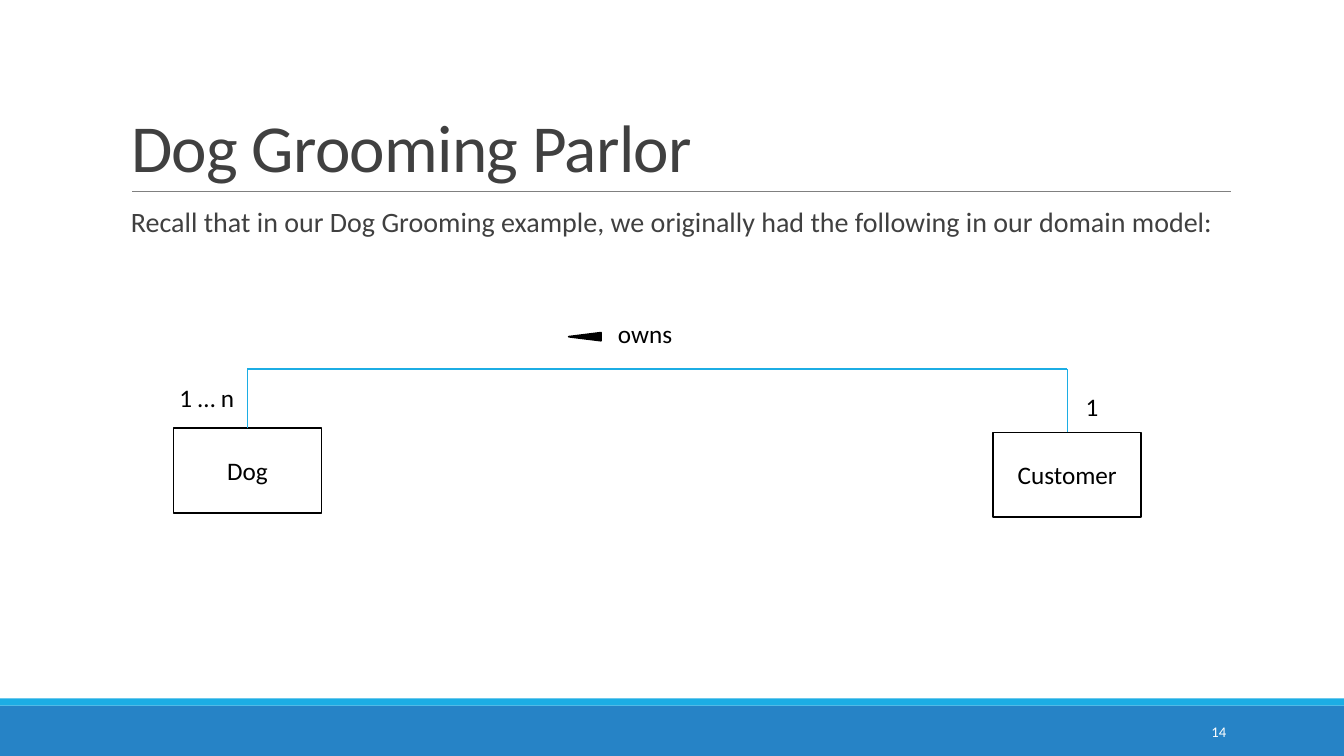
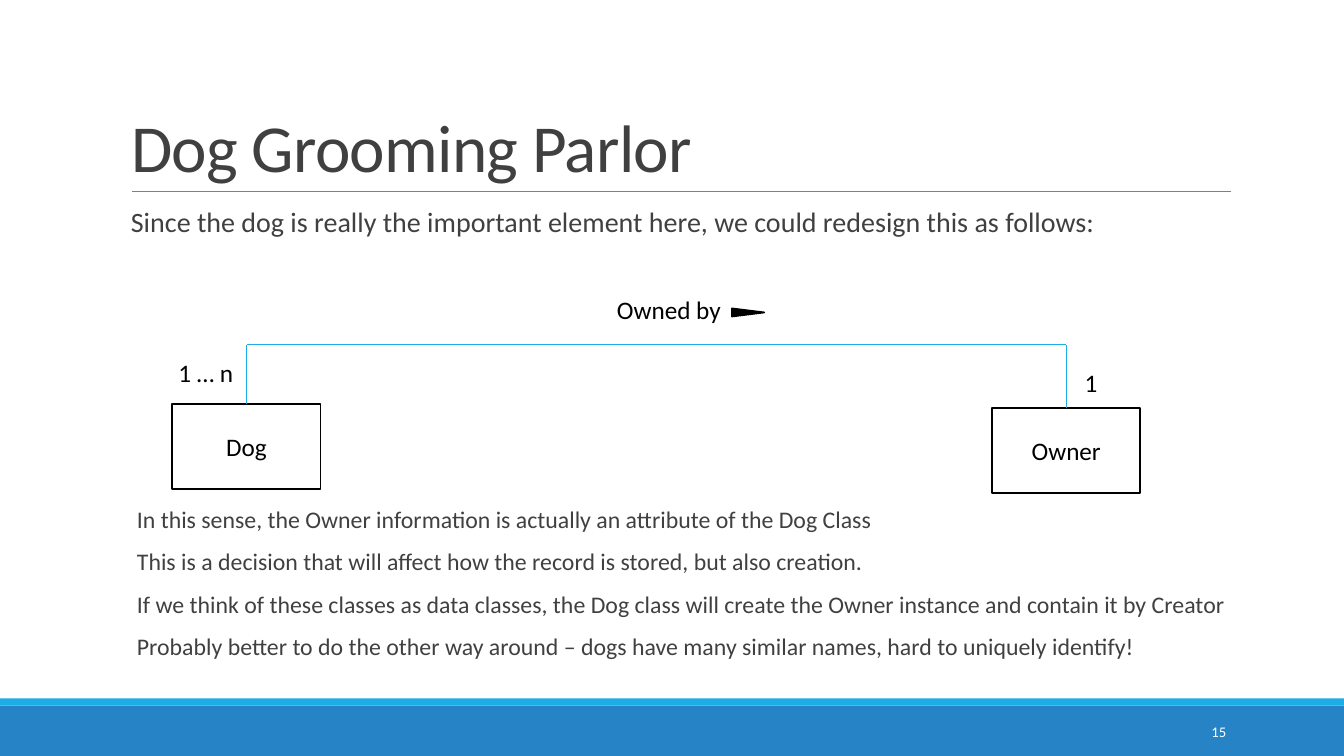
from pptx import Presentation
from pptx.dml.color import RGBColor
from pptx.enum.shapes import MSO_CONNECTOR, MSO_SHAPE
from pptx.enum.text import MSO_ANCHOR, MSO_AUTO_SIZE, PP_ALIGN
from pptx.util import Inches, Pt
from lxml.etree import SubElement
from pptx.oxml.ns import qn

BLUE = RGBColor(0x26, 0x83, 0xC6)
CYAN = RGBColor(0x1C, 0xAD, 0xE4)
GRAY = RGBColor(0x80, 0x80, 0x80)
DARK = RGBColor(0x40, 0x40, 0x40)
BLACK = RGBColor(0, 0, 0)
WHITE = RGBColor(0xFF, 0xFF, 0xFF)
FONT = "Calibri"


def write(tf, text, size=18, color=BLACK, align=PP_ALIGN.LEFT, anchor=MSO_ANCHOR.TOP,
          line=None, before=None, after=None, tracking=None):
    """Fill a text frame, one paragraph for each line of text."""
    tf.vertical_anchor = anchor
    tf.text = text
    for p in tf.paragraphs:
        p.alignment = align
        p.line_spacing = line
        p.space_before = before
        p.space_after = after
        for r in p.runs:
            r.font.name, r.font.size = FONT, Pt(size)
            r.font.color.rgb = color
            if tracking is not None:
                r.font._element.set("spc", str(int(tracking * 100)))


class Deck:
    def __init__(self):
        self.prs = Presentation()
        self.prs.slide_width = Inches(13.33)
        self.prs.slide_height = Inches(7.5)
        self.s = None

    def slide(self, title, number):
        self.s = self.prs.slides.add_slide(self.prs.slide_layouts[5])
        # Footer bands and title rule
        self.shape(0, 7, 13.33, 0.5, fill=BLUE)
        self.shape(0, 6.93, 13.33, 0.07, fill=CYAN)
        self.line(1.31, 1.9, 12.21, 1.9, color=GRAY, width=0.5)
        # Title and slide number
        sp = self.s.shapes.title
        sp.left, sp.top = Inches(1.2), Inches(0.31)
        sp.width, sp.height = Inches(11), Inches(1.59)
        sp.text_frame.auto_size = MSO_AUTO_SIZE.NONE
        write(sp.text_frame, title, size=48, color=DARK, anchor=MSO_ANCHOR.BOTTOM,
              line=0.85, tracking=-0.5)
        self.text(10.83, 7.06, 1.43, 0.4, str(number), size=10.5, color=WHITE,
                  align=PP_ALIGN.RIGHT, anchor=MSO_ANCHOR.MIDDLE)

    def shape(self, x, y, w, h, fill, kind=MSO_SHAPE.RECTANGLE, outline=None):
        sp = self.s.shapes.add_shape(kind, Inches(x), Inches(y), Inches(w), Inches(h))
        sp.shadow.inherit = False
        sp.fill.solid()
        sp.fill.fore_color.rgb = fill
        if outline is None:
            sp.line.fill.background()
        else:
            sp.line.color.rgb = outline
            sp.line.width = Pt(1.25)
        return sp

    def line(self, x1, y1, x2, y2, color=CYAN, width=1):
        cn = self.s.shapes.add_connector(MSO_CONNECTOR.STRAIGHT, Inches(x1), Inches(y1),
                                         Inches(x2), Inches(y2))
        cn.line.color.rgb = color
        cn.line.width = Pt(width)
        SubElement(cn._element.spPr, qn("a:effectLst"))
        return cn

    def text(self, x, y, w, h, text, wrap=True, **fmt):
        sp = self.s.shapes.add_textbox(Inches(x), Inches(y), Inches(w), Inches(h))
        sp.text_frame.word_wrap = wrap
        write(sp.text_frame, text, **fmt)

    def body(self, x, y, h, text, size, line):
        self.text(x, y, 11, h, text, size=size, color=DARK, line=line,
                  before=Pt(12), after=Pt(2))

    def label(self, x, y, w, text):
        self.text(x, y, w, 0.4, text, wrap=False)

    def class_box(self, x, y, name, bar_y):
        """A class with a riser from its top up to the association bar."""
        w = 1.47
        sp = self.shape(x, y, w, 0.84, fill=WHITE, outline=BLACK)
        write(sp.text_frame, name, align=PP_ALIGN.CENTER, anchor=MSO_ANCHOR.MIDDLE)
        center = x + w / 2
        self.line(center, y, center, bar_y).begin_connect(sp, 0)
        return center

    def association(self, x, y, right_name, verb, verb_w, arrow_x, arrow_angle):
        """Dog and a second class, joined by a bar; x, y is the Dog corner."""
        bar_y = y - 0.59
        left = self.class_box(x, y, "Dog", bar_y)
        right = self.class_box(x + 8.13, y + 0.04, right_name, bar_y)
        self.line(left, bar_y, right, bar_y)
        self.label(x + 4.31, y - 1.14, verb_w, verb)
        self.label(x - 0.04, y - 0.51, 0.75, "1 … n")
        self.label(x + 8.95, y - 0.42, 0.33, "1")
        # Reading direction
        sp = self.shape(arrow_x, y - 1.07, 0.08, 0.32, fill=BLACK,
                        kind=MSO_SHAPE.ISOSCELES_TRIANGLE, outline=BLACK)
        sp.rotation = arrow_angle


def main():
    deck = Deck()
    title = "Dog Grooming Parlor"

    # Customer owns Dog
    deck.slide(title, 14)
    deck.body(1.2, 2.02, 0.61, "Recall that in our Dog Grooming example, we originally "
              "had the following in our domain model:", size=20, line=0.9)
    deck.association(1.72, 4.25, "Customer", "owns", 0.75, arrow_x=5.76, arrow_angle=270)

    # Dog owned by Owner
    deck.slide(title, 15)
    deck.body(1.2, 2.02, 0.61, "Since the dog is really the important element here, "
              "we could redesign this as follows:", size=20, line=0.9)
    deck.association(1.71, 4.01, "Owner", "Owned by", 1.25, arrow_x=7.38, arrow_angle=90)
    deck.body(1.26, 5.01, 1.64, "\n".join([
        "In this sense, the Owner information is actually an attribute of the Dog Class",
        "This is a decision that will affect how the record is stored, but also creation.",
        "If we think of these classes as data classes, the Dog class will create the "
        "Owner instance and contain it by Creator",
        "Probably better to do the other way around – dogs have many similar names, "
        "hard to uniquely identify!",
    ]), size=17, line=0.8)

    deck.prs.save("out.pptx")


if __name__ == "__main__":
    main()
